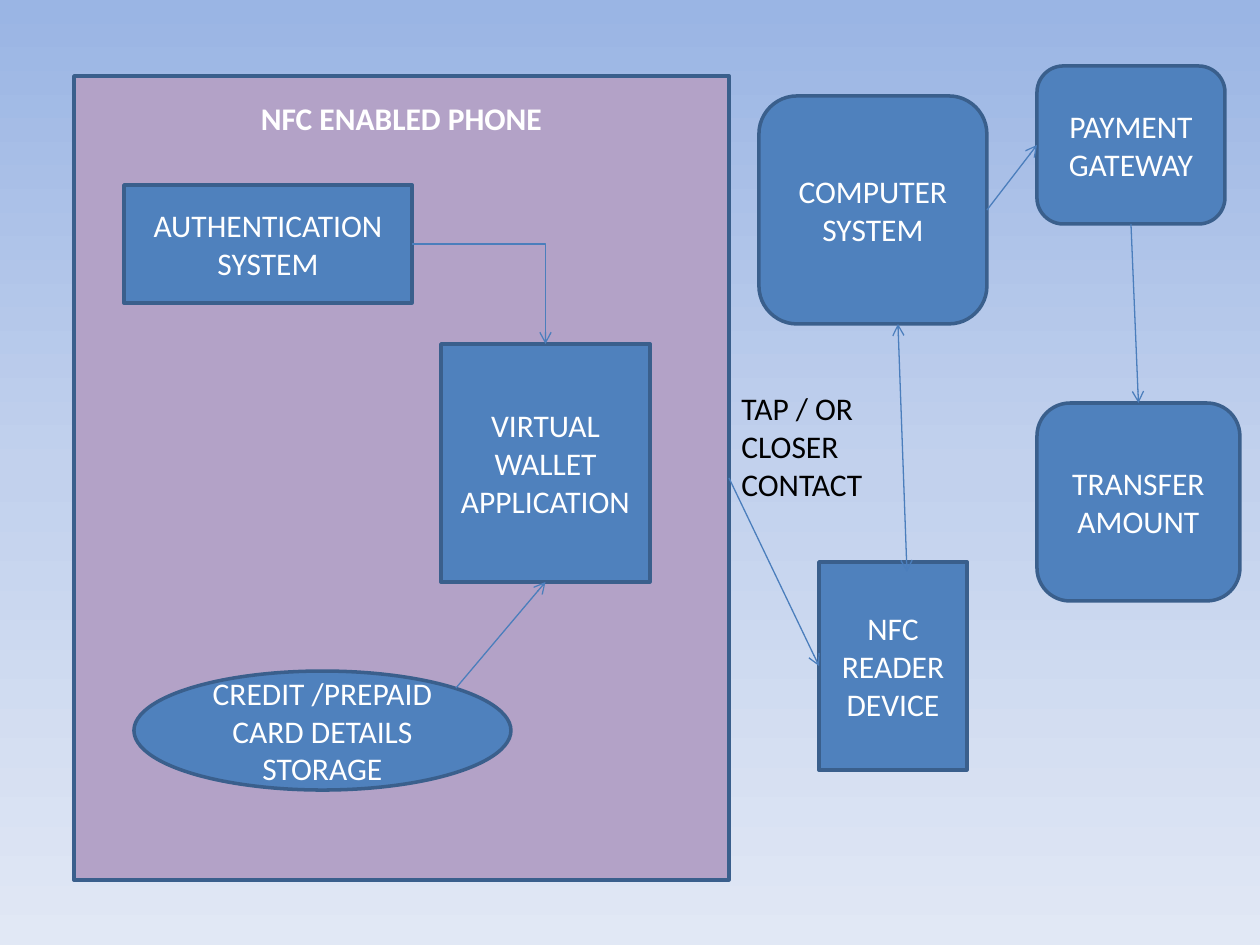
from copy import deepcopy

from lxml import etree
from pptx import Presentation
from pptx import util as u
from pptx.dml.color import RGBColor
from pptx.enum import shapes, text
from pptx.oxml.ns import qn

BLUE = RGBColor(0x4F, 0x81, 0xBD)
LILAC = RGBColor(0xB3, 0xA2, 0xC7)
OUTLINE = RGBColor(0x3A, 0x5F, 0x8C)
ARROW = RGBColor(0x4B, 0x7E, 0xBC)
WHITE = RGBColor(0xFF, 0xFF, 0xFF)
BLACK = RGBColor(0x00, 0x00, 0x00)
SKY = [
    (0, RGBColor(0x9A, 0xB5, 0xE4)),
    (0.5, RGBColor(0xC2, 0xD1, 0xED)),
    (1, RGBColor(0xE1, 0xE8, 0xF5)),
]

KIND = shapes.MSO_SHAPE
LINK = shapes.MSO_CONNECTOR
TOP, LEFT, BOTTOM, RIGHT = range(4)

BOXES = {
    "phone": (KIND.RECTANGLE, (74, 76, 655, 804), "NFC ENABLED PHONE"),
    "authentication": (KIND.RECTANGLE, (124, 185, 288, 118), "AUTHENTICATION SYSTEM"),
    "card": (KIND.OVAL, (134, 671, 377, 119), "CREDIT /PREPAID CARD DETAILS STORAGE"),
    "wallet": (KIND.RECTANGLE, (441, 344, 209, 238), "VIRTUAL WALLET APPLICATION"),
    "reader": (KIND.RECTANGLE, (819, 562, 148, 208), "NFC READER DEVICE"),
    "computer": (KIND.ROUNDED_RECTANGLE, (759, 96, 228, 228), "COMPUTER SYSTEM"),
    "payment": (KIND.ROUNDED_RECTANGLE, (1037, 66, 188, 158), "PAYMENT GATEWAY"),
    "transfer": (KIND.ROUNDED_RECTANGLE, (1037, 403, 203, 198), "TRANSFER AMOUNT"),
}
CONTACT = ((729, 383, 159, 127), "TAP / OR CLOSER CONTACT")

JOINED = [
    (LINK.ELBOW, ("authentication", RIGHT), ("wallet", TOP)),
    (LINK.STRAIGHT, ("phone", RIGHT), ("reader", LEFT)),
    (LINK.STRAIGHT, ("computer", RIGHT), ("payment", LEFT)),
    (LINK.STRAIGHT, ("payment", BOTTOM), ("transfer", TOP)),
]
CARD_START, WALLET_END = (456, 688), (545, 582)
READER_START, COMPUTER_END = (907, 572), (898, 324)


def px(n):
    return u.Emu(round(n * 914400 / 126))


def write(sp, words, color, align, bold=None):
    tf = sp.text_frame
    tf.word_wrap = True
    tf.text = words
    p = tf.paragraphs[0]
    p.alignment = align
    font = p.runs[0].font
    font.name, font.size, font.bold = "Calibri", u.Pt(18), bold
    font.color.rgb = color
    return tf


def add_box(slide, kind, at, words, fill=BLUE, bold=None):
    sp = slide.shapes.add_shape(kind, *map(px, at))
    sp.shadow.inherit = False
    sp.fill.solid()
    sp.fill.fore_color.rgb = fill
    sp.line.color.rgb = OUTLINE
    sp.line.width = u.Pt(2)
    tf = write(sp, words, WHITE, text.PP_ALIGN.CENTER, bold)
    tf.vertical_anchor = text.MSO_ANCHOR.MIDDLE
    return sp


def add_arrow(slide, kind, start=(0, 0), end=(0, 0), ends=("tailEnd",)):
    cxn = slide.shapes.add_connector(kind, *map(px, start + end))
    cxn.line.color.rgb = ARROW
    cxn.line.width = u.Pt(0.75)
    sp_pr = cxn._element.spPr
    ln = sp_pr.find(qn("a:ln"))
    for name in ends:
        etree.SubElement(ln, qn("a:" + name), type="arrow")
    etree.SubElement(sp_pr, qn("a:effectLst"))
    if kind == LINK.ELBOW:
        sp_pr.find(qn("a:prstGeom")).set("prst", "bentConnector2")
    return cxn


def paint_background(slide):
    fill = slide.background.fill
    fill.gradient()
    fill.gradient_angle = 270
    stops = slide._element.find(".//" + qn("a:gsLst"))
    stops.append(deepcopy(stops[0]))
    for stop, (position, color) in zip(fill.gradient_stops, SKY):
        stop.position = position
        stop.color.rgb = color


def main():
    prs = Presentation()
    prs.slide_width, prs.slide_height = px(1260), px(945)
    slide = prs.slides.add_slide(prs.slide_layouts[6])
    paint_background(slide)

    boxes = {}
    for name, (kind, at, words) in BOXES.items():
        style = {"fill": LILAC, "bold": True} if name == "phone" else {}
        boxes[name] = add_box(slide, kind, at, words, **style)
    title = boxes["phone"].text_frame
    title.vertical_anchor = text.MSO_ANCHOR.TOP
    title.margin_top = px(23)

    at, words = CONTACT
    write(slide.shapes.add_textbox(*map(px, at)), words, BLACK, text.PP_ALIGN.LEFT)

    for kind, (source, source_side), (target, target_side) in JOINED:
        cxn = add_arrow(slide, kind)
        cxn.begin_connect(boxes[source], source_side)
        cxn.end_connect(boxes[target], target_side)
    cxn = add_arrow(slide, LINK.STRAIGHT, CARD_START, WALLET_END)
    cxn.end_connect(boxes["wallet"], BOTTOM)
    add_arrow(slide, LINK.STRAIGHT, READER_START, COMPUTER_END, ("headEnd", "tailEnd"))

    prs.save("out.pptx")


if __name__ == "__main__":
    main()
